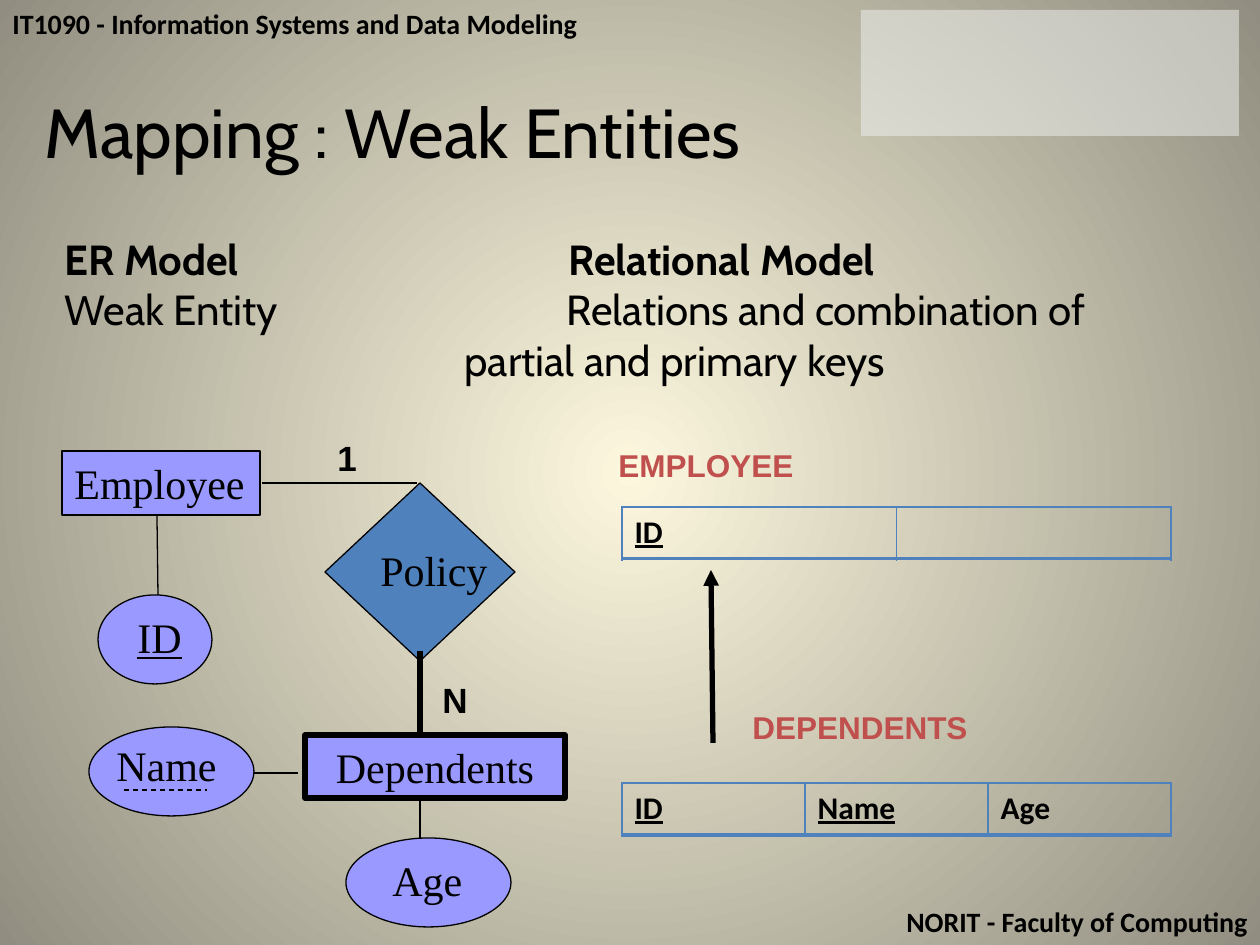
from dataclasses import dataclass

from lxml.etree import SubElement
from pptx import Presentation
from pptx.dml.color import RGBColor
from pptx.enum.dml import MSO_LINE
from pptx.enum.shapes import MSO_CONNECTOR, MSO_SHAPE as Preset
from pptx.enum.text import MSO_ANCHOR as Anchor, MSO_AUTO_SIZE as AutoSize, PP_ALIGN as Align
from pptx.oxml import parse_xml
from pptx.oxml.ns import nsdecls, qn
from pptx.util import Pt


@dataclass(frozen=True)
class Theme:
    ink: str = "000000"
    entity: str = "9999FF"
    blue: str = "4F81BD"
    heading: str = "C0504D"
    panel: str = "F2F2F2"
    glow: str = "FCF7DD"
    edge: str = "918E81"
    title: tuple = ("Cabin", 39.6, False)
    body: tuple = ("Cabin", 24, False)
    body_bold: tuple = ("Cabin", 24, True)
    diagram: tuple = ("Times New Roman", 24, False)
    cardinality: tuple = ("Arial", 20, True)
    relation: tuple = ("Arial", 18, True)
    cell: tuple = ("Calibri", 18, True)
    margin: tuple = ("Calibri", 16, True)
    thin: float = 0.75
    thick: float = 3


THEME = Theme()
PX = 914400 / 126
WIDTH, HEIGHT = 1260, 945

TITLE = ("Mapping : Weak Entities", (32, 78, 798, 105))
COLUMNS = [
    ((52, 227, 390, 180), [
        ("ER Model", THEME.body_bold, 0),
        ("Weak Entity", THEME.body, 0),
    ]),
    ((452, 227, 777, 180), [
        ("Relational Model", THEME.body_bold, 104),
        ("Relations and combination of", THEME.body, 102),
        ("partial and primary keys", THEME.body, 0),
    ]),
]
PANEL = (861, 10, 378, 126)
SHAPES = [
    (Preset.DIAMOND, (325, 483, 190, 178), THEME.blue, THEME.thin),
    (Preset.OVAL, (346, 838, 165, 89), THEME.entity, THEME.thin),
    (Preset.OVAL, (89, 727, 165, 89), THEME.entity, THEME.thin),
    (Preset.OVAL, (98, 595, 114, 89), THEME.entity, THEME.thin),
]
ENTITIES = [
    ("Employee", (62, 451, 198, 64), THEME.thin, Align.LEFT),
    ("Dependents", (305, 735, 260, 63), THEME.thick, Align.CENTER),
]
LINES = [
    ((262, 483), (417, 483), THEME.thin),
    ((253, 773), (298, 773), THEME.thin),
    ((420, 838), (420, 797), THEME.thin),
    ((158, 595), (157, 515), THEME.thin),
    ((420, 651), (420, 735), THEME.thick),
]
PARTIAL_KEY = ((124, 790), (207, 790), THEME.thin)
REFERENCE = ((713, 743), (711, 570), THEME.thick)
LABELS = [
    ("Policy", (353, 538, 162, 63), THEME.diagram, THEME.ink, Align.CENTER),
    ("Name", (104, 733, 136, 63), THEME.diagram, THEME.ink, Align.LEFT),
    ("Age", (380, 848, 106, 63), THEME.diagram, THEME.ink, Align.LEFT),
    ("1", (325, 430, 50, 54), THEME.cardinality, THEME.ink, Align.LEFT),
    ("N", (430, 672, 60, 54), THEME.cardinality, THEME.ink, Align.LEFT),
    ("EMPLOYEE", (606, 440, 220, 50), THEME.relation, THEME.heading, Align.LEFT),
    ("DEPENDENTS", (740, 702, 260, 50), THEME.relation, THEME.heading, Align.LEFT),
]
KEY_LABEL = ("ID", (125, 605, 80, 63), THEME.diagram, THEME.ink, Align.LEFT)
MARGIN_TEXTS = [
    ("IT1090 - Information Systems and Data Modeling", (0, 0, WIDTH, 47), THEME.margin, THEME.ink, Align.LEFT),
    ("NORIT - Faculty of Computing", (0, 898, WIDTH, 47), THEME.margin, THEME.ink, Align.RIGHT),
]
TABLE_LEFT, TABLE_WIDTH, ROW_HEIGHT = 622, 549, 52
TABLES = [
    (507, [("ID", True), ("", False)]),
    (783, [("ID", True), ("Name", True), ("Age", False)]),
]


def emu(*lengths):
    return [round(length * PX) for length in lengths]


def rgb(colour):
    return RGBColor.from_string(colour)


def style(paragraph, font, colour=THEME.ink, align=Align.LEFT, underline=False):
    paragraph.font.name, size, paragraph.font.bold = font
    paragraph.font.size = Pt(size)
    paragraph.font.color.rgb = rgb(colour)
    paragraph.font.underline = underline
    paragraph.alignment = align


def add_label(slide, text, box, font, colour, align, underline=False):
    frame = slide.shapes.add_textbox(*emu(*box)).text_frame
    frame.word_wrap = True
    frame.text = text
    style(frame.paragraphs[0], font, colour, align, underline)


def add_outlined(slide, preset, box, fill, weight):
    shape = slide.shapes.add_shape(preset, *emu(*box))
    shape.shadow.inherit = False
    shape.fill.solid()
    shape.fill.fore_color.rgb = rgb(fill)
    shape.line.color.rgb = rgb(THEME.ink)
    shape.line.width = Pt(weight)
    return shape


def add_line(slide, start, end, weight):
    connector = slide.shapes.add_connector(MSO_CONNECTOR.STRAIGHT, *emu(*start, *end))
    connector.line.color.rgb = rgb(THEME.ink)
    connector.line.width = Pt(weight)
    SubElement(connector._element.spPr, qn("a:effectLst"))
    return connector


def paint_background(slide):
    fill = slide.background.fill
    fill.gradient()
    for stop, colour, position in zip(fill.gradient_stops, (THEME.glow, THEME.edge), (0, 1)):
        stop.color.rgb = rgb(colour)
        stop.position = position
    gradient = slide._element.find(".//" + qn("a:gradFill"))
    gradient.remove(gradient.find(qn("a:lin")))
    radial = SubElement(gradient, qn("a:path"), path="circle")
    SubElement(radial, qn("a:fillToRect"), l="50000", t="50000", r="50000", b="50000")


def add_panel(slide):
    panel = add_outlined(slide, Preset.RECTANGLE, PANEL, THEME.panel, THEME.thin)
    panel.line.fill.background()
    colour = panel._element.spPr.find(qn("a:solidFill"))[0]
    SubElement(colour, qn("a:alpha"), val="50000")


def place(placeholder, box, text):
    placeholder.left, placeholder.top, placeholder.width, placeholder.height = emu(*box)
    placeholder.text_frame.auto_size = AutoSize.NONE
    placeholder.text_frame.text = text
    return placeholder.text_frame


def fill_placeholders(slide):
    title, *columns = list(slide.placeholders)[:3]
    frame = place(title, TITLE[1], TITLE[0])
    frame.vertical_anchor = Anchor.MIDDLE
    style(frame.paragraphs[0], THEME.title)
    for column, (box, lines) in zip(columns, COLUMNS):
        frame = place(column, box, "\n".join(text for text, _, _ in lines))
        for paragraph, (_, font, indent) in zip(frame.paragraphs, lines):
            style(paragraph, font)
            paragraph.space_before = Pt(0)
            properties = paragraph._p.get_or_add_pPr()
            properties.set("marL", str(emu(indent)[0]))
            properties.set("indent", "0")
            SubElement(properties, qn("a:buNone"))
            properties.append(properties.find(qn("a:defRPr")))


def add_relation(slide, top, fields):
    table = slide.shapes.add_table(1, len(fields), *emu(TABLE_LEFT, top, TABLE_WIDTH, ROW_HEIGHT)).table
    table.first_row = table.horz_banding = False
    for cell, (text, underline) in zip(table.iter_cells(), fields):
        cell.text = text
        cell.fill.background()
        style(cell.text_frame.paragraphs[0], THEME.cell, underline=underline)
        properties = cell._tc.get_or_add_tcPr()
        for index, (side, weight) in enumerate((("L", 1), ("R", 1), ("T", 1), ("B", 2))):
            properties.insert(index, parse_xml(
                f'<a:ln{side} {nsdecls("a")} w="{Pt(weight)}"><a:solidFill>'
                f'<a:srgbClr val="{THEME.blue}"/></a:solidFill></a:ln{side}>'))


def main():
    presentation = Presentation()
    presentation.slide_width, presentation.slide_height = emu(WIDTH, HEIGHT)
    slide = presentation.slides.add_slide(presentation.slide_layouts.get_by_name("Two Content"))
    paint_background(slide)
    fill_placeholders(slide)
    add_panel(slide)
    for item in SHAPES:
        add_outlined(slide, *item)
    for text, box, weight, align in ENTITIES:
        entity = add_outlined(slide, Preset.RECTANGLE, box, THEME.entity, weight)
        entity.text_frame.text = text
        entity.text_frame.vertical_anchor = Anchor.TOP
        style(entity.text_frame.paragraphs[0], THEME.diagram, align=align)
    for item in LINES:
        add_line(slide, *item)
    add_line(slide, *PARTIAL_KEY).line.dash_style = MSO_LINE.DASH
    arrow = add_line(slide, *REFERENCE)
    SubElement(arrow.line._get_or_add_ln(), qn("a:tailEnd"), type="triangle")
    for item in MARGIN_TEXTS + LABELS:
        add_label(slide, *item)
    add_label(slide, *KEY_LABEL, underline=True)
    for top, fields in TABLES:
        add_relation(slide, top, fields)
    presentation.save("out.pptx")


if __name__ == "__main__":
    main()
